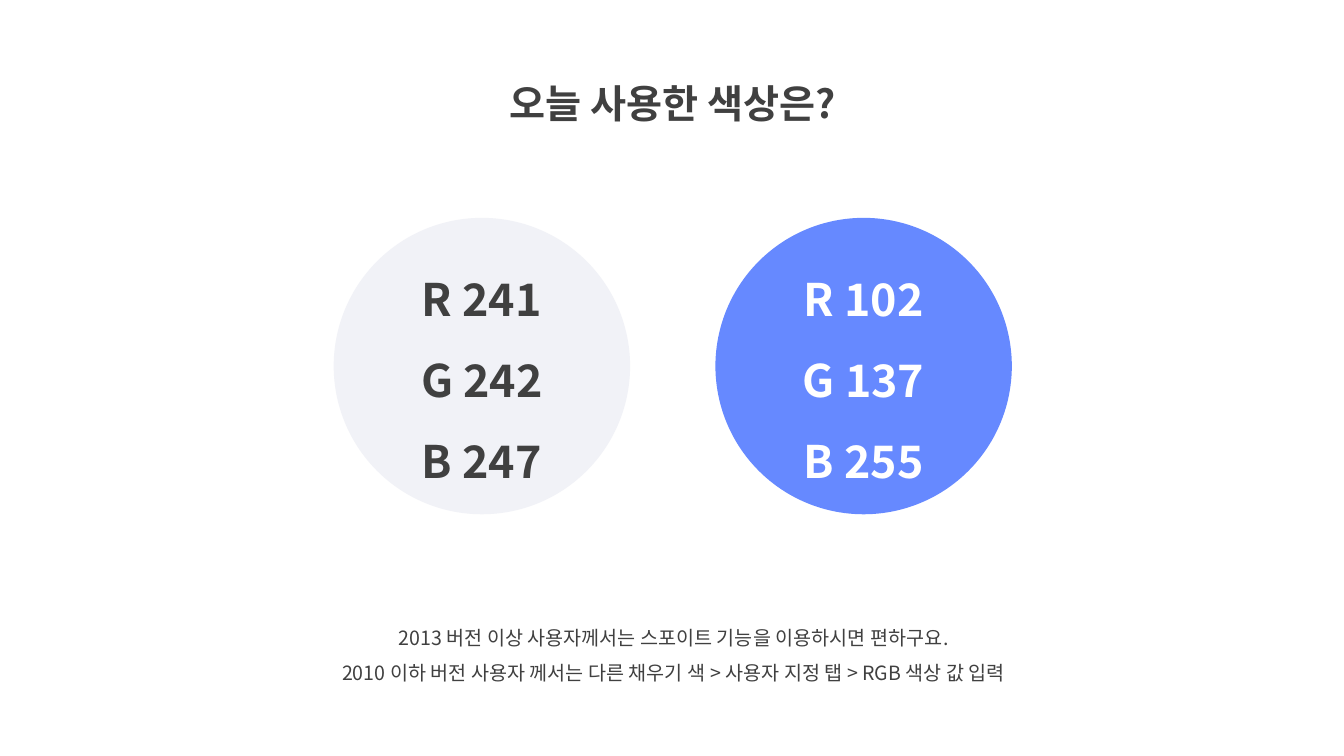
from lxml import etree
from pptx import Presentation
from pptx.dml.color import RGBColor
from pptx.enum import shapes, text
from pptx.oxml.ns import qn
from pptx.util import Cm

FONT = "Noto Sans CJK KR"
HUES = {"ink": "404040", "pale": "F1F2F7", "blue": "6689FF", "white": "FFFFFF"}


def color(name):
    return RGBColor.from_string(HUES[name])


def write(frame, lines, size, hue, bold, anchor):
    frame.word_wrap = True
    frame.auto_size = text.MSO_AUTO_SIZE.NONE
    frame.vertical_anchor = anchor
    for index, line in enumerate(lines):
        para = frame.add_paragraph() if index else frame.paragraphs[0]
        para.alignment = text.PP_ALIGN.CENTER
        para.line_spacing = 1.5
        run = para.add_run()
        run.text = line
        font = run.font
        font.size = Cm(size * 2.54 / 72)
        font.bold = bold
        font.color.rgb = color(hue)
        font.name = FONT
        east = etree.SubElement(run._r.get_or_add_rPr(), qn("a:ea"))
        east.set("typeface", FONT)


def head(slide, box, line):
    title = slide.shapes.title
    title.left, title.top, title.width, title.height = map(Cm, box)
    write(title.text_frame, [line], 28, "ink", True, text.MSO_ANCHOR.TOP)


def swatches(slide, box, pairs):
    left, top, width, side = box
    step = (width - side) / (len(pairs) - 1)
    for index, (fill, ink) in enumerate(pairs):
        disc = slide.shapes.add_shape(
            shapes.MSO_SHAPE.OVAL,
            Cm(left + index * step), Cm(top), Cm(side), Cm(side))
        disc.shadow.inherit = False
        disc.fill.solid()
        disc.fill.fore_color.rgb = color(fill)
        disc.line.fill.background()
        lines = [f"{key} {value}" for key, value in zip("RGB", color(fill))]
        write(disc.text_frame, lines, 32, ink, True, text.MSO_ANCHOR.MIDDLE)


def note(slide, box, lines):
    area = slide.shapes.add_textbox(*map(Cm, box))
    write(area.text_frame, lines, 14, "ink", False, text.MSO_ANCHOR.TOP)


deck = Presentation()
deck.slide_width, deck.slide_height = Cm(33.87), Cm(19.05)
page = deck.slides.add_slide(deck.slide_layouts[5])
head(page, (11.07, 1.27, 11.76, 1.83), "오늘 사용한 색상은?")
note(page, (6.83, 15.34, 20.29, 2.06), [
    "2013 버전 이상 사용자께서는 스포이트 기능을 이용하시면 편하구요.",
    "2010 이하 버전 사용자 께서는 다른 채우기 색 > 사용자 지정 탭 > RGB 색상 값 입력",
])
swatches(page, (8.41, 5.49, 17.09, 7.47), [("pale", "ink"), ("blue", "white")])
deck.save("out.pptx")
